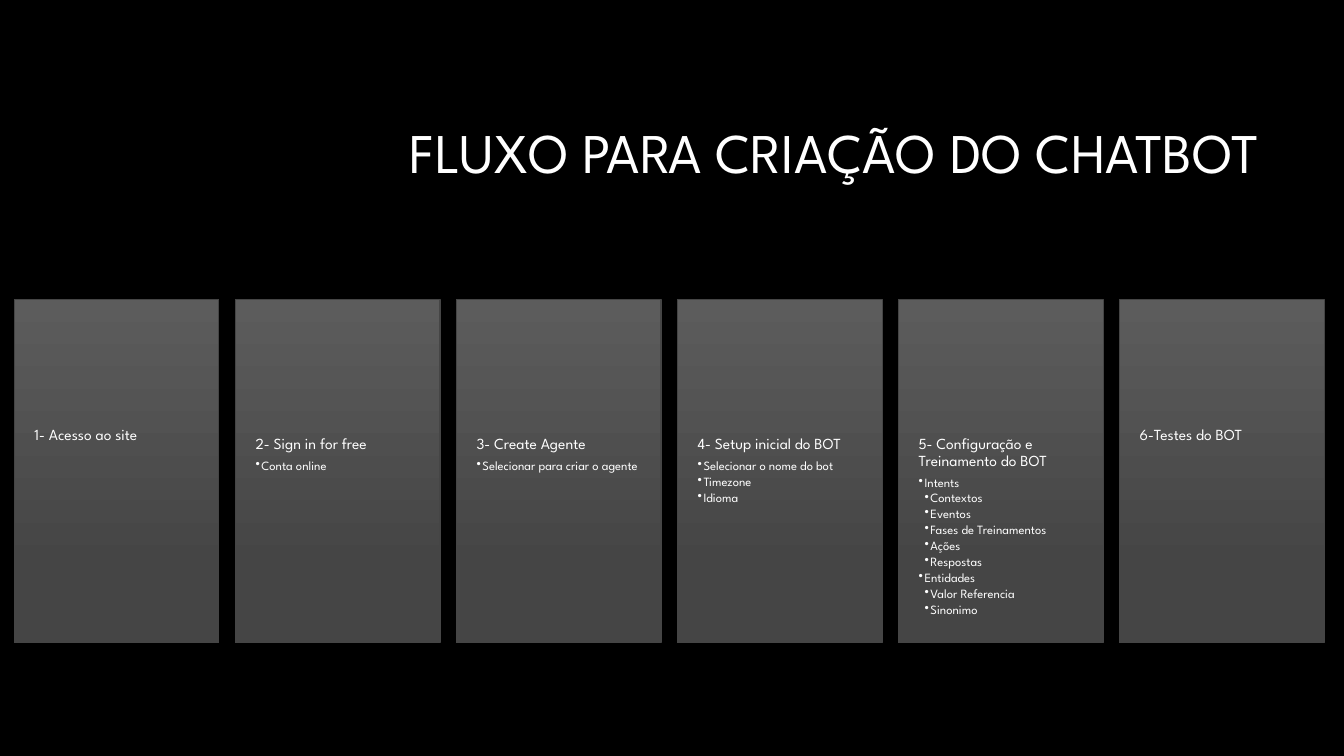
import pptx
import pptx.dml.color
import pptx.enum.shapes
import pptx.enum.text
import pptx.oxml.ns
import pptx.util
from lxml import etree

Cm = pptx.util.Cm
Pt = pptx.util.Pt
ALIGN = pptx.enum.text.PP_ALIGN
ANCHOR = pptx.enum.text.MSO_ANCHOR

FONT = "League Spartan"
COLORS = {"background": "000000", "text": "FFFFFF",
          "card_top": "5C5C5C", "card_bottom": "454545"}

CARD_LEFT, CARD_TOP, CARD_WIDTH, CARD_HEIGHT = 0.36, 7.54, 5.16, 8.66
CARD_PITCH = 5.57
TEXT_TOP = 11
BULLET_INDENT = 0.15

# Each step: heading, then (level, text) bullets
STEPS = [
    ("1- Acesso ao site", []),
    ("2- Sign in for free", [(1, "Conta online")]),
    ("3- Create Agente", [(1, "Selecionar para criar o agente")]),
    ("4- Setup inicial do BOT", [
        (1, "Selecionar o nome do bot"), (1, "Timezone"), (1, "Idioma")]),
    ("5- Configuração e Treinamento do BOT", [
        (1, "Intents"), (2, "Contextos"), (2, "Eventos"),
        (2, "Fases de Treinamentos"), (2, "Ações"), (2, "Respostas"),
        (1, "Entidades"), (2, "Valor Referencia"), (2, "Sinonimo")]),
    ("6-Testes do BOT", []),
]


def rgb(name):
    return pptx.dml.color.RGBColor.from_string(COLORS[name])


def set_attrs(obj, values):
    for name, value in values.items():
        setattr(obj, name, value)


def add_text_frame(s, left, top, width, height, **settings):
    box = s.shapes.add_textbox(Cm(left), Cm(top), Cm(width), Cm(height))
    tf = box.text_frame
    set_attrs(tf, {"word_wrap": True, **settings})
    return tf


def add_bullet(p, level):
    p.level = level
    pPr = p._p.get_or_add_pPr()
    pPr.set("marL", str(Cm(BULLET_INDENT * level)))
    pPr.set("indent", str(-Cm(BULLET_INDENT)))
    etree.SubElement(pPr, pptx.oxml.ns.qn("a:buChar")).set("char", "•")


def write(p, text, size, **settings):
    set_attrs(p, {"line_spacing": 0.9, **settings})
    r = p.add_run()
    r.text = text
    set_attrs(r.font, {"name": FONT, "size": Pt(size)})
    r.font.color.rgb = rgb("text")


def add_card(s, left):
    sp = s.shapes.add_shape(pptx.enum.shapes.MSO_SHAPE.RECTANGLE, Cm(left),
                            Cm(CARD_TOP), Cm(CARD_WIDTH), Cm(CARD_HEIGHT))
    sp.shadow.inherit = False
    sp.fill.gradient()
    sp.fill.gradient_angle = 270
    stops = [(0, "card_top"), (0.78, "card_bottom")]
    for stop, (position, color) in zip(sp.fill.gradient_stops, stops):
        stop.position = position
        stop.color.rgb = rgb(color)
    sp.line.color.rgb = rgb("card_bottom")
    sp.line.width = Pt(0.75)


def add_step(s, left, heading, bullets):
    add_card(s, left)
    tf = add_text_frame(
        s, left, TEXT_TOP, CARD_WIDTH, CARD_TOP + CARD_HEIGHT - TEXT_TOP,
        margin_left=Cm(0.51), margin_right=Cm(0.51),
        margin_top=0, margin_bottom=Cm(0.91))
    write(tf.paragraphs[0], heading, 11, space_after=Pt(4.6))
    for level, text in bullets:
        p = tf.add_paragraph()
        add_bullet(p, level)
        write(p, text, 9, space_after=Pt(1.6))


def add_title(s, text):
    tf = add_text_frame(s, 8.05, 2.13, 23.93, 3.58,
                        vertical_anchor=ANCHOR.MIDDLE)
    write(tf.paragraphs[0], text, 40, alignment=ALIGN.RIGHT)


def main():
    prs = pptx.Presentation()
    set_attrs(prs, {"slide_width": Cm(33.87), "slide_height": Cm(19.05)})
    s = prs.slides.add_slide(prs.slide_layouts[6])
    s.background.fill.solid()
    s.background.fill.fore_color.rgb = rgb("background")
    add_title(s, "FLUXO PARA CRIAÇÃO DO CHATBOT")
    for i, (heading, bullets) in enumerate(STEPS):
        add_step(s, CARD_LEFT + i * CARD_PITCH, heading, bullets)
    prs.save("out.pptx")


if __name__ == "__main__":
    main()
